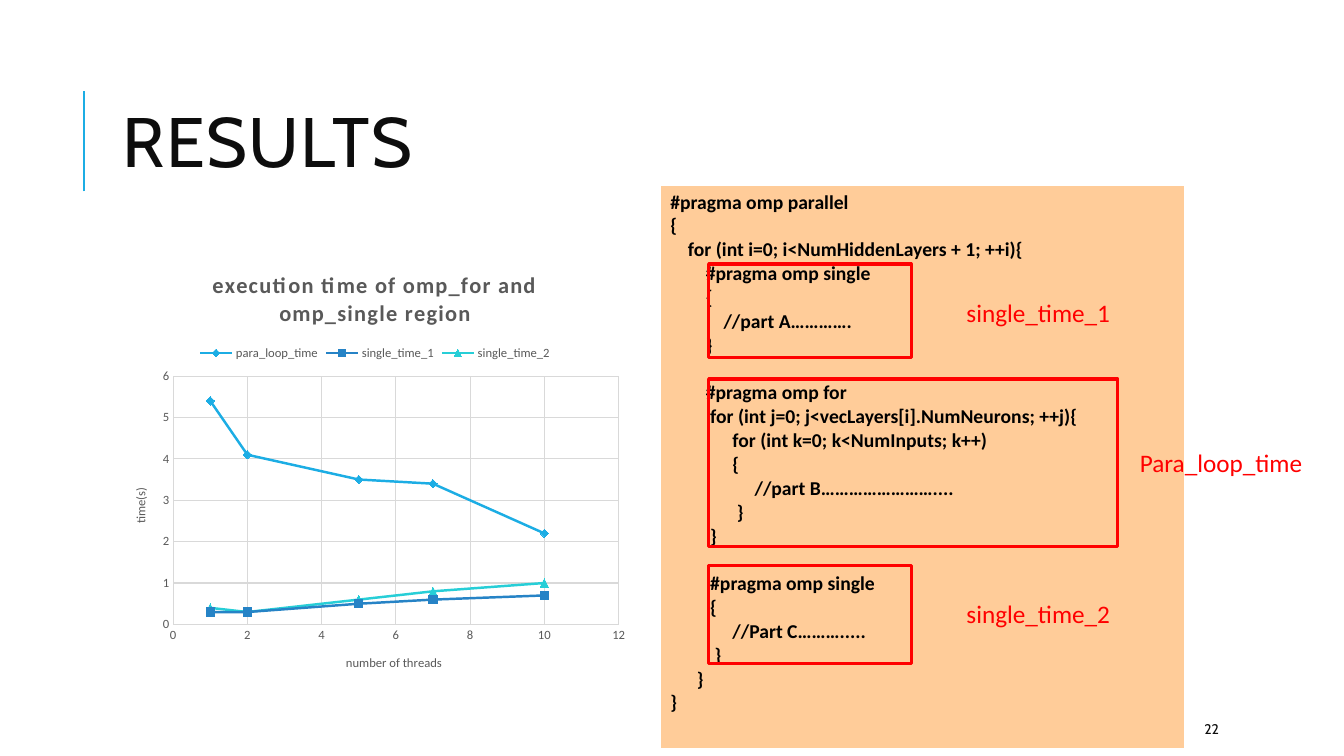
from lxml import etree
from pptx import Presentation
from pptx.chart.data import XyChartData
from pptx.dml.color import RGBColor
from pptx.enum.chart import XL_CHART_TYPE, XL_LEGEND_POSITION, XL_MARKER_STYLE, XL_TICK_MARK
from pptx.enum.shapes import MSO_CONNECTOR, MSO_SHAPE
from pptx.enum.text import MSO_ANCHOR, MSO_AUTO_SIZE, PP_ALIGN
from pptx.oxml import parse_xml
from pptx.oxml.ns import nsdecls, qn
from pptx.util import Inches, Pt

SCATTER = XL_CHART_TYPE.XY_SCATTER_LINES
LEGEND_TOP = XL_LEGEND_POSITION.TOP
NO_TICK = XL_TICK_MARK.NONE
DIAMOND, SQUARE, TRIANGLE = XL_MARKER_STYLE.DIAMOND, XL_MARKER_STYLE.SQUARE, XL_MARKER_STYLE.TRIANGLE
STRAIGHT, RECT = MSO_CONNECTOR.STRAIGHT, MSO_SHAPE.RECTANGLE
MIDDLE, TOP, LEFT, NO_FIT = MSO_ANCHOR.MIDDLE, MSO_ANCHOR.TOP, PP_ALIGN.LEFT, MSO_AUTO_SIZE.NONE

HEAD, BODY = "Cabin", "Calibri"
INK, BLACK, GREY, GRID, RED = "0D0D0D", "000000", "595959", "D9D9D9", "FF0000"
CYAN, BLUE, TEAL, PEACH, WHITE = "1CADE4", "2683C6", "27CED7", "FFCC99", "FFFFFF"
SPACE = 3.17   # width of one code column in points
LINE = 17      # height of one code line in points

THREADS = [1, 2, 5, 7, 10]
SERIES = [
    ("para_loop_time", [5.4, 4.1, 3.5, 3.4, 2.2], CYAN, DIAMOND),
    ("single_time_1", [0.3, 0.3, 0.5, 0.6, 0.7], BLUE, SQUARE),
    ("single_time_2", [0.4, 0.3, 0.6, 0.8, 1], TEAL, TRIANGLE),
]
# Code lines: indent in columns, blank lines before, text
CODE = [
    (0, 0, "#pragma omp parallel"),
    (0, 0, "{"),
    (4, 0, "for (int i=0; i<NumHiddenLayers + 1; ++i){"),
    (8, 0, "#pragma omp single"),
    (8, 0, "{"),
    (12, 0, "//part A…………."),
    (8, 0, "}"),
    (8, 1, "#pragma omp for"),
    (9, 0, "for (int j=0; j<vecLayers[i].NumNeurons; ++j){"),
    (14, 0, "for (int k=0; k<NumInputs; k++)"),
    (14, 0, "{"),
    (19, 0, "//part B……………………...."),
    (15, 0, "}"),
    (9, 0, "}"),
    (9, 1, "#pragma omp single"),
    (9, 0, "{"),
    (14, 0, "//Part C………....."),
    (10, 0, "}"),
    (6, 0, "}"),
    (0, 0, "}"),
]


def rgb(value):
    return RGBColor.from_string(value)


def style(font, size, color, name=BODY, bold=False):
    font.size, font.name, font.bold = Pt(size), name, bold
    font.color.rgb = rgb(color)


def stroke(line, color, width):
    line.color.rgb = rgb(color)
    line.width = Pt(width)


class Deck:
    """Places elements in percent of the slide's width and height."""

    def __init__(self):
        self.prs = Presentation()
        self.prs.slide_width, self.prs.slide_height = Inches(13.33), Inches(7.5)
        self.s = self.prs.slides.add_slide(self.prs.slide_layouts[5])

    def at(self, x, y, w, h):
        width, height = self.prs.slide_width, self.prs.slide_height
        return [int(v * full / 100) for v, full in zip((x, y, w, h), (width, height) * 2)]

    def title(self, text, *box):
        sp = self.s.shapes.title
        sp.left, sp.top, sp.width, sp.height = self.at(*box)
        tf = sp.text_frame
        tf.text, tf.auto_size, tf.vertical_anchor = text, NO_FIT, MIDDLE
        p = tf.paragraphs[0]
        p.alignment, p.line_spacing = LEFT, 0.8
        style(p.font, 50, INK, HEAD)
        p.runs[0].font._element.set("spc", "100")

    def rule(self, x1, y1, x2, y2):
        cxn = self.s.shapes.add_connector(STRAIGHT, *self.at(x1, y1, x2, y2))
        stroke(cxn.line, CYAN, 1.5)
        etree.SubElement(cxn._element.spPr, qn("a:effectLst"))

    def text(self, text, *box, size=18, color=RED, name=BODY, anchor=TOP):
        tf = self.s.shapes.add_textbox(*self.at(*box)).text_frame
        tf.text, tf.word_wrap, tf.vertical_anchor = text, True, anchor
        style(tf.paragraphs[0].font, size, color, name)

    def frame(self, *box):
        sp = self.s.shapes.add_shape(RECT, *self.at(*box))
        sp.shadow.inherit = False
        sp.fill.background()
        stroke(sp.line, RED, 2.25)

    def code(self, lines, *box):
        table = self.s.shapes.add_table(1, 1, *self.at(*box)).table
        table.first_row = table.horz_banding = False
        cell = table.cell(0, 0)
        tc_pr = cell._tc.get_or_add_tcPr()
        for side, width in (("L", 1), ("R", 1), ("T", 1), ("B", 3)):
            tc_pr.append(parse_xml(
                f'<a:ln{side} {nsdecls("a")} w="{Pt(width)}"><a:solidFill>'
                f'<a:srgbClr val="{WHITE}"/></a:solidFill></a:ln{side}>'))
        cell.fill.solid()
        cell.fill.fore_color.rgb = rgb(PEACH)
        tf = cell.text_frame
        tf.text = "\n".join(text for _, _, text in lines)
        for p, (indent, blanks, _) in zip(tf.paragraphs, lines):
            style(p.font, 14, BLACK, bold=True)
            p.space_before = Pt(blanks * LINE)
            p._p.get_or_add_pPr().set("marL", str(Pt(indent * SPACE)))

    def axis(self, axis, title, top, step):
        axis.minimum_scale, axis.maximum_scale, axis.major_unit = 0, top, step
        axis.major_tick_mark = axis.minor_tick_mark = NO_TICK
        axis.has_major_gridlines = True
        stroke(axis.major_gridlines.format.line, GRID, 0.75)
        stroke(axis.format.line, GRID, 0.75)
        style(axis.tick_labels.font, 9, GREY)
        axis.tick_labels.number_format = "General"
        axis.tick_labels.number_format_is_linked = False
        tf = axis.axis_title.text_frame
        tf.text = title
        style(tf.paragraphs[0].font, 9, GREY)

    def chart(self, title, *box):
        data = XyChartData()
        for name, times, _, _ in SERIES:
            series = data.add_series(name)
            for point in zip(THREADS, times):
                series.add_data_point(*point)
        chart = self.s.shapes.add_chart(SCATTER, *self.at(*box), data).chart
        style(chart.font, 10, BLACK)
        chart.has_title = chart.has_legend = True
        tf = chart.chart_title.text_frame
        tf.text = title
        p = tf.paragraphs[0]
        style(p.font, 16, GREY, bold=True)
        style(p.runs[0].font, 16, GREY, bold=True)
        p.runs[0].font._element.set("spc", "100")
        chart.legend.position = LEGEND_TOP
        chart.legend.include_in_layout = False
        style(chart.legend.font, 9, GREY)
        self.axis(chart.category_axis, "number of threads", 12, 2)
        self.axis(chart.value_axis, "time(s)", 6, 1)
        for series, (_, _, color, shape) in zip(chart.plots[0].series, SERIES):
            series.smooth = False
            stroke(series.format.line, color, 1.75)
            marker = series.marker
            marker.style, marker.size = shape, 6
            marker.format.fill.solid()
            marker.format.fill.fore_color.rgb = rgb(color)
            stroke(marker.format.line, color, 0.75)
        # Fixed inner plot area
        area = chart._chartSpace.chart.plotArea
        for old in area.findall(qn("c:layout")):
            area.remove(old)
        parts = "".join(f'<c:{k} val="{v}"/>' for k, v in (
            ("layoutTarget", "inner"), ("xMode", "edge"), ("yMode", "edge"),
            ("x", 0.115), ("y", 0.28), ("w", 0.85), ("h", 0.56)))
        area.insert(0, parse_xml(
            f'<c:layout {nsdecls("c")}><c:manualLayout>{parts}</c:manualLayout></c:layout>'))


def main():
    deck = Deck()

    # Heading
    deck.rule(6.22, 25.33, 6.22, 12)
    deck.title("RESULTS", 8.4, 8.53, 79.74, 21.87)

    # Timing chart and code listing
    deck.chart("execution time of omp_for and omp_single region", 8.4, 33.33, 39, 58.67)
    deck.code(CODE, 49.12, 24.53, 39, 74.67)
    deck.text("22", 88.88, 94.4, 7.95, 4, size=10, color=INK, name=HEAD, anchor=MIDDLE)

    # Timed regions: frame top, width, height; label and its place
    for top, width, height, label, x, y, w in (
            (34.93, 15.07, 12.4, "single_time_1", 71.17, 38.67, 12.75),
            (50.13, 30.45, 22.13, "Para_loop_time", 84.08, 58.53, 13.65),
            (74.8, 15.07, 12.93, "single_time_2", 71.17, 78.53, 12.75)):
        deck.frame(52.73, top, width, height)
        deck.text(label, x, y, w, 5.33)

    deck.prs.save("out.pptx")


if __name__ == "__main__":
    main()
